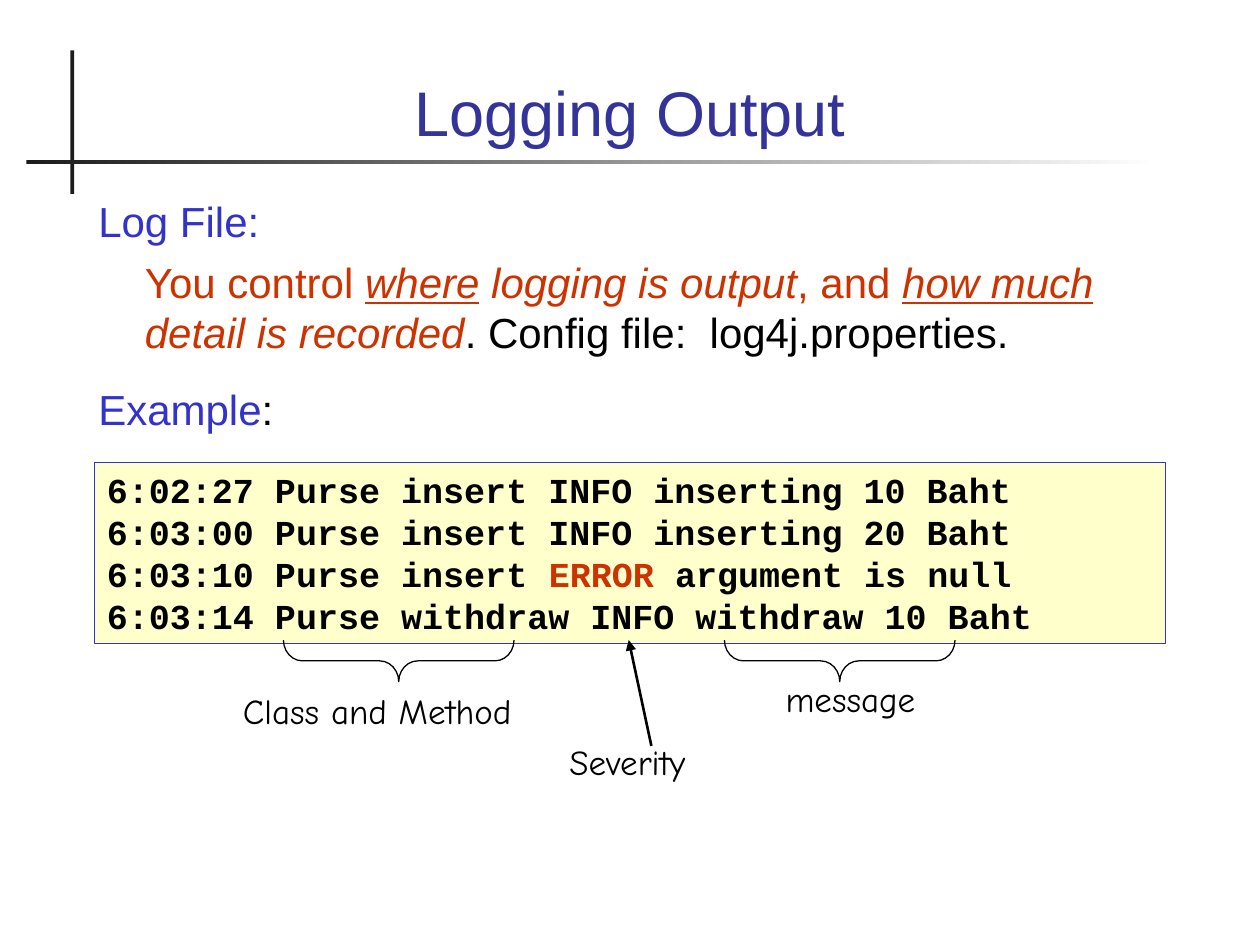
from lxml import etree
from pptx import Presentation
from pptx import util as u
from pptx.dml import color
from pptx.enum import shapes, text
from pptx.oxml import ns

INK, RED, BLUE = "000000", "CC3300", "3333CC"


def rgb(value):
    """Turn a hex string into a colour."""
    return color.RGBColor.from_string(value)


def child(parent, tag, **attributes):
    """Append a DrawingML element."""
    return etree.SubElement(parent, ns.qn(tag), attributes)


class SlideBuilder:
    """Holds the text styles and the slide being built."""

    styles = {
        "title": {"name": "Arial", "size": u.Pt(36)},
        "body": {"name": "Arial", "size": u.Pt(24)},
        "code": {"name": "Courier New", "size": u.Pt(20), "bold": True},
        "label": {"name": "Comic Neue", "size": u.Pt(20)},
    }

    def __init__(self, slide):
        """Keep the slide."""
        self.slide = slide

    def place(self, shape, box):
        """Move and size a shape in inches."""
        for side, length in zip(("left", "top", "width", "height"), box):
            setattr(shape, side, u.Inches(length))

    def add_runs(self, paragraph, style, runs):
        """Add runs of (words, colour, extra font values)."""
        for words, hue, *extra in runs:
            run = paragraph.add_run()
            run.text = words
            run.font.color.rgb = rgb(hue)
            values = dict(self.styles[style], **(extra[0] if extra else {}))
            for key, value in values.items():
                setattr(run.font, key, value)

    def frame(self, shape, style, paragraphs, align=text.PP_ALIGN.LEFT,
              anchor=text.MSO_ANCHOR.TOP):
        """Fill a text frame with paragraphs."""
        frame = shape.text_frame
        settings = {"word_wrap": True, "vertical_anchor": anchor,
                    "auto_size": text.MSO_AUTO_SIZE.NONE}
        for key, value in settings.items():
            setattr(frame, key, value)
        for index, runs in enumerate(paragraphs):
            paragraph = frame.add_paragraph() if index else frame.paragraphs[0]
            paragraph.alignment = align
            self.add_runs(paragraph, style, runs)
        return frame

    def title(self, words, box):
        """Set the title placeholder."""
        heading = self.slide.shapes.title
        self.place(heading, box)
        self.frame(heading, "title", [[(words, "333399")]],
                   text.PP_ALIGN.CENTER, text.MSO_ANCHOR.BOTTOM)

    def body(self, paragraphs, gaps, box):
        """Set the body placeholder with hanging, unbulleted paragraphs."""
        content = self.slide.placeholders[1]
        self.place(content, box)
        frame = self.frame(content, "body", paragraphs)
        for paragraph, gap in zip(frame.paragraphs, gaps):
            paragraph.space_before = u.Pt(gap)
            properties = paragraph._p.get_or_add_pPr()
            properties.set("marL", str(u.Inches(0.38)))
            properties.set("indent", str(u.Inches(-0.37)))
            child(properties, "a:buNone")

    def shape(self, kind, box, fill=None, line=None):
        """Add a preset shape."""
        shape = self.slide.shapes.add_shape(kind, *map(u.Inches, box))
        shape.shadow.inherit = False
        if fill:
            shape.fill.solid()
            shape.fill.fore_color.rgb = rgb(fill)
        else:
            shape.fill.background()
        if line:
            shape.line.color.rgb = rgb(line)
            shape.line.width = u.Pt(0.75)
        else:
            shape.line.fill.background()
        return shape

    def fading_rule(self, box, start, end):
        """Add a bar that fades from left to right."""
        fill = self.shape(shapes.MSO_SHAPE.RECTANGLE, box).fill
        fill.gradient()
        fill.gradient_angle = 0
        for stop, hue in zip(fill.gradient_stops, (start, end)):
            stop.color.rgb = rgb(hue)

    def code(self, lines, box):
        """Add a panel of code lines."""
        panel = self.shape(shapes.MSO_SHAPE.RECTANGLE, box, "FFFFCC", BLUE)
        self.frame(panel, "code", lines)

    def brace(self, left, top, span, depth):
        """Add a brace that points down."""
        shift = (span - depth) / 2
        brace = self.shape(shapes.MSO_SHAPE.LEFT_BRACE,
                           (left + shift, top - shift, depth, span), line=INK)
        brace.rotation = 270
        brace.adjustments[0] = 0.46

    def label(self, words, box, align=text.PP_ALIGN.LEFT):
        """Add a handwritten label."""
        label = self.slide.shapes.add_textbox(*map(u.Inches, box))
        self.frame(label, "label", [[(words, INK)]], align)

    def arrow(self, *ends):
        """Add an arrow between two points."""
        arrow = self.slide.shapes.add_connector(
            shapes.MSO_CONNECTOR.STRAIGHT, *map(u.Inches, ends))
        arrow.line.color.rgb = rgb(INK)
        arrow.line.width = u.Pt(1.5)
        child(arrow.line._get_or_add_ln(), "a:tailEnd", type="triangle")
        child(arrow._element.spPr, "a:effectLst")


def main():
    """Build the logging slide."""
    deck = Presentation()
    deck.slide_width, deck.slide_height = u.Inches(10), u.Inches(7.5)
    page = SlideBuilder(deck.slides.add_slide(deck.slide_layouts[1]))

    page.shape(shapes.MSO_SHAPE.RECTANGLE, (0.56, 0.4, 0.03, 1.14), "1C1C1C")
    page.fading_rule((0.21, 1.27, 8.99, 0.03), "1C1C1C", "FFFFFF")
    page.title("Logging Output", (0.67, 0.28, 8.66, 0.95))

    italic = {"italic": True}
    stressed = {"italic": True, "underline": True}
    page.body([
        [("Log File:", BLUE)],
        [("\t", INK), ("You control ", RED), ("where", RED, stressed),
         (" logging is output", RED, italic), (", and ", RED),
         ("how much", RED, stressed), (" detail is recorded", RED, italic),
         (". Config file:  log4j.properties.", INK)],
        [("Example", BLUE), (":", INK)],
    ], (0, 6, 15), (0.67, 1.5, 8.66, 2.08))

    page.code([
        [("6:02:27 Purse insert INFO inserting 10 Baht", INK)],
        [("6:03:00 Purse insert INFO inserting 20 Baht", INK)],
        [("6:03:10 Purse insert ", INK), ("ERROR", RED),
         (" argument is null", INK)],
        [("6:03:14 Purse withdraw INFO withdraw 10 Baht", INK)],
    ], (0.75, 3.67, 8.5, 1.44))

    for left in (2.25, 5.75):
        page.brace(left, 5.08, 1.83, 0.33)
    page.label("Class and Method", (1.83, 5.42, 2.5, 0.44))
    page.label("Severity", (4.42, 5.83, 1.42, 0.44))
    page.label("message", (5.5, 5.33, 2.5, 0.44), text.PP_ALIGN.CENTER)
    page.arrow(5.17, 5.92, 4.99, 5.08)
    deck.save("out.pptx")


if __name__ == "__main__":
    main()
